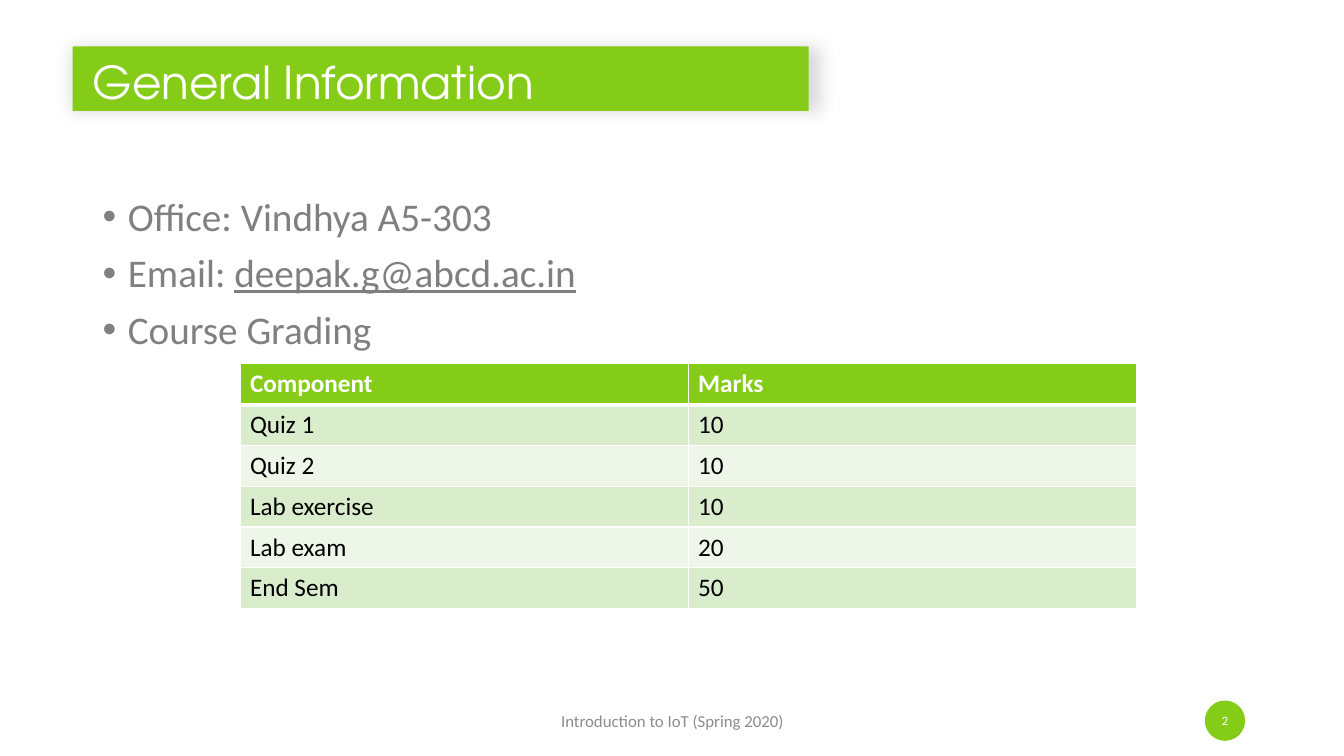
from lxml import etree
from pptx import Presentation
from pptx import util as u
from pptx.dml import color
from pptx.enum import shapes, text
from pptx.oxml import ns

COLORS = {
    "accent": "85CC18",
    "white": "FFFFFF",
    "black": "000000",
    "body": "808080",
    "email": "7F7F7F",
    "footer": "8C8C8C",
    "band_dark": "D9ECCC",
    "band_light": "EDF6E8",
}
GRADING = [
    ("Component", "Marks"),
    ("Quiz 1", "10"),
    ("Quiz 2", "10"),
    ("Lab exercise", "10"),
    ("Lab exam", "20"),
    ("End Sem", "50"),
]
BULLETS = [
    ("Office: Vindhya A5-303", ""),
    ("Email: ", "deepak.g@abcd.ac.in"),
    ("Course Grading", ""),
]


def rgb(name):
    return color.RGBColor.from_string(COLORS[name])


def add_node(parent, tag, **attributes):
    return etree.SubElement(parent, ns.qn(tag), attributes)


def add_span(para, words, *, size, fill, font="Calibri", bold=False, underline=False):
    span = para.add_run()
    span.text = words
    span.font.name = font
    span.font.size = u.Pt(size)
    span.font.bold = bold
    span.font.underline = underline
    span.font.color.rgb = rgb(fill)


def set_frame(frame, margins, anchor=text.MSO_ANCHOR.MIDDLE):
    frame.word_wrap = True
    frame.vertical_anchor = anchor
    left, top, right, bottom = [u.Inches(margin) for margin in margins]
    frame.margin_left, frame.margin_top = left, top
    frame.margin_right, frame.margin_bottom = right, bottom
    return frame.paragraphs[0]


def add_filled_shape(page, kind, box):
    shape = page.shapes.add_shape(kind, *map(u.Inches, box))
    shape.shadow.inherit = False
    shape.fill.solid()
    shape.fill.fore_color.rgb = rgb("accent")
    shape.line.fill.background()
    return shape


def add_title(page, box):
    banner = add_filled_shape(page, shapes.MSO_SHAPE.ROUNDED_RECTANGLE, box)
    banner.adjustments[0] = 0
    # Soft shadow, stretched to the right
    effects = banner._element.spPr.find(ns.qn("a:effectLst"))
    shadow = add_node(effects, "a:outerShdw", blurRad=str(u.Pt(12)), dist="0",
                      dir="0", sx="101500", algn="l", rotWithShape="0")
    tint = add_node(shadow, "a:srgbClr", val=COLORS["black"])
    add_node(tint, "a:alpha", val="14000")

    para = set_frame(banner.text_frame, (0.2, 0.05, 0.2, 0))
    para.alignment = text.PP_ALIGN.LEFT
    add_span(para, "General Information", size=32.4, fill="white",
             font="TeX Gyre Adventor")


def add_bullets(page, box):
    frame = page.shapes.add_textbox(*map(u.Inches, box)).text_frame
    para = set_frame(frame, (0.1, 0.05, 0.1, 0.05), text.MSO_ANCHOR.TOP)
    for index, (words, address) in enumerate(BULLETS):
        if index:
            para = frame.add_paragraph()
        para.line_spacing = 0.9
        para.space_before = u.Pt(10)
        properties = para._p.get_or_add_pPr()
        properties.set("marL", str(u.Inches(0.25)))
        properties.set("indent", str(u.Inches(-0.25)))
        add_node(properties, "a:buFont", typeface="Arial")
        add_node(properties, "a:buChar", char="•")
        add_span(para, words, size=28, fill="body")
        if address:
            add_span(para, address, size=28, fill="email", underline=True)


def set_borders(cell, top, bottom):
    properties = cell._tc.get_or_add_tcPr()
    for side, width in (("L", 1), ("R", 1), ("T", top), ("B", bottom)):
        line = add_node(properties, "a:ln" + side, w=str(u.Pt(width)))
        add_node(add_node(line, "a:solidFill"), "a:srgbClr", val=COLORS["white"])


def add_grading_table(page, box):
    left, top, width, height = box
    row_count, column_count = len(GRADING), len(GRADING[0])
    table = page.shapes.add_table(row_count, column_count, *map(u.Inches, box)).table
    for column in table.columns:
        column.width = u.Inches(width / column_count)
    for row_index, values in enumerate(GRADING):
        table.rows[row_index].height = u.Inches(height / row_count)
        header = row_index == 0
        band = "accent" if header else ("band_light", "band_dark")[row_index % 2]
        for column_index, value in enumerate(values):
            cell = table.cell(row_index, column_index)
            set_borders(cell, top=3 if row_index == 1 else 1, bottom=3 if header else 1)
            cell.fill.solid()
            cell.fill.fore_color.rgb = rgb(band)
            add_span(cell.text_frame.paragraphs[0], value, size=18,
                     fill="white" if header else "black", bold=header)


def add_footer(page, box):
    left, top, width, height = box
    # Course name
    label = page.shapes.add_textbox(*map(u.Inches, box))
    para = set_frame(label.text_frame, (0.1, 0.05, 0.1, 0.05))
    para.alignment = text.PP_ALIGN.CENTER
    add_span(para, "Introduction to IoT (Spring 2020)", size=12, fill="footer")

    # Page number in a circle
    badge_box = (left + width + 3.03, top, height, height)
    badge = add_filled_shape(page, shapes.MSO_SHAPE.FLOWCHART_CONNECTOR, badge_box)
    para = set_frame(badge.text_frame, (0, 0.05, 0, 0.05))
    para.alignment = text.PP_ALIGN.CENTER
    add_span(para, "2", size=9, fill="white")


def main():
    deck = Presentation()
    deck.slide_width, deck.slide_height = u.Inches(13.33), u.Inches(7.5)
    page = deck.slides.add_slide(deck.slide_layouts[6])
    page.background.fill.solid()
    page.background.fill.fore_color.rgb = rgb("white")
    add_title(page, (0.72, 0.46, 7.3, 0.64))
    add_bullets(page, (0.92, 1.91, 11.5, 4.76))
    add_footer(page, (4.42, 6.95, 4.5, 0.4))
    add_grading_table(page, (2.38, 3.61, 8.89, 2.43))
    deck.save("out.pptx")


if __name__ == "__main__":
    main()
